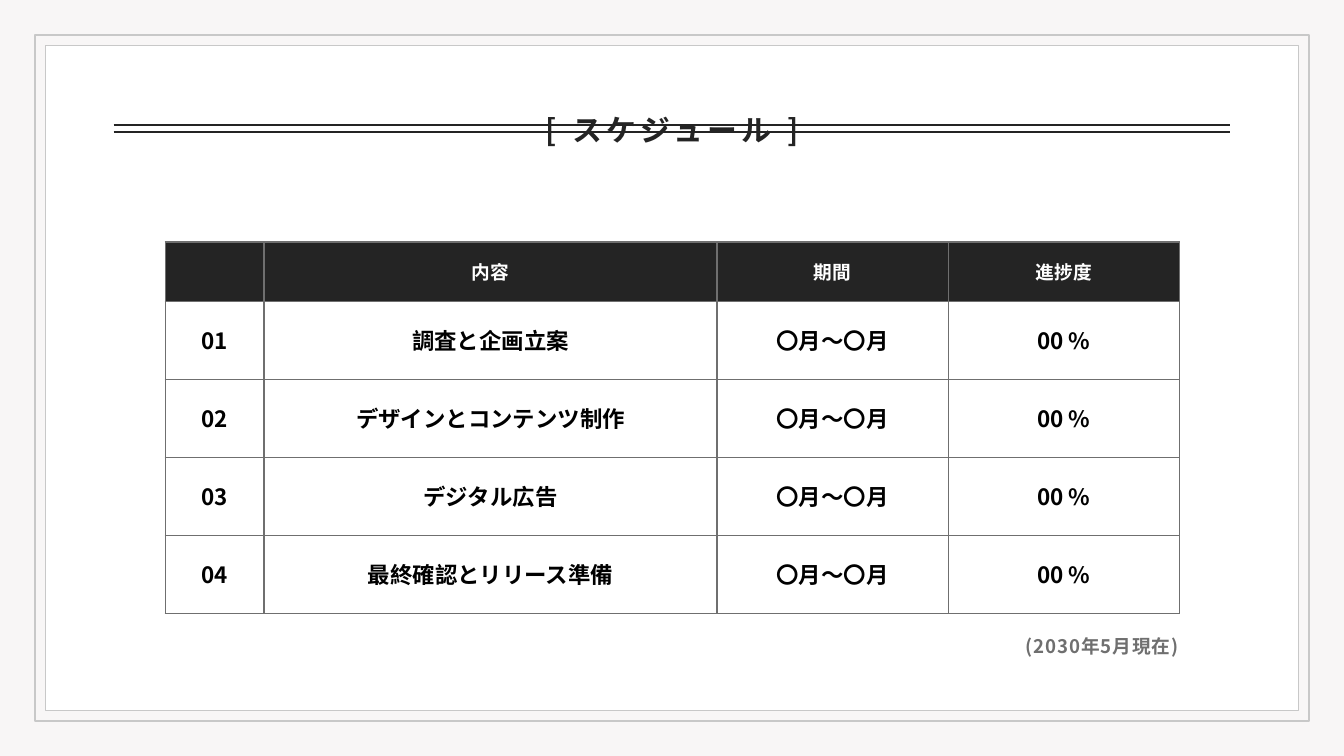
from dataclasses import dataclass

from lxml.etree import SubElement
from pptx import Presentation
from pptx.dml.color import RGBColor
from pptx.enum.shapes import MSO_CONNECTOR, MSO_SHAPE
from pptx.enum.text import MSO_ANCHOR, PP_ALIGN
from pptx.oxml import parse_xml
from pptx.oxml.ns import nsdecls, qn
from pptx.slide import Slide
from pptx.table import _Cell
from pptx.util import Inches, Pt

WIDTH, HEIGHT = 20, 11.25
TABLE_MARGIN = 2.46
TABLE_TOP = 3.6
COLUMNS = (1.47, 6.74, 3.44, 3.44)
HEADER_ROW, BODY_ROW = 0.89, 1.16
LINE_FACTOR = 1.4

HEADINGS = ("", "内容", "期間", "進捗度")
TASKS = ("調査と企画立案", "デザインとコンテンツ制作", "デジタル広告", "最終確認とリリース準備")
PERIOD, PROGRESS = "〇月〜〇月", "00 %"


@dataclass(frozen=True)
class Theme:
    font: str = "Noto Sans CJK JP"
    backdrop: str = "F8F6F6"
    frame: str = "C8C8C8"
    ink: str = "242424"
    body: str = "000000"
    muted: str = "6F6F6F"
    paper: str = "FFFFFF"
    title_size: int = 32
    body_size: int = 24
    small_size: int = 20
    thin: float = 1.5
    rule: float = 2


@dataclass(frozen=True)
class TextStyle:
    size: int
    color: str
    align: PP_ALIGN = PP_ALIGN.CENTER
    tracking: float = 0


@dataclass(frozen=True)
class Frame:
    margin: float
    fill: str


@dataclass(frozen=True)
class Caption:
    text: str
    margin: float
    top: float
    height: float
    style: TextStyle


THEME = Theme()
HEADING_STYLE = TextStyle(THEME.small_size, THEME.paper)
BODY_STYLE = TextStyle(THEME.body_size, THEME.body)

FRAMES = (Frame(0.52, THEME.backdrop), Frame(0.68, THEME.paper))
RULE_MARGIN = 1.69
RULE_HEIGHTS = (1.86, 1.96)
CAPTIONS = (
    Caption("[ スケジュール ]", 3.78, 1.58, 0.58,
            TextStyle(THEME.title_size, THEME.ink, tracking=4.8)),
    Caption("(2030年5月現在)", TABLE_MARGIN, 9.39, 0.37,
            TextStyle(THEME.small_size, THEME.muted, PP_ALIGN.RIGHT, 1)),
)


def rgb(color: str) -> RGBColor:
    return RGBColor.from_string(color)


def write(text_frame, text: str, style: TextStyle) -> None:
    paragraph = text_frame.paragraphs[0]
    paragraph.text = text
    paragraph.alignment = style.align
    paragraph.line_spacing = Pt(style.size * LINE_FACTOR)
    font = paragraph.font
    font.size, font.bold, font.name = Pt(style.size), True, THEME.font
    font.color.rgb = rgb(style.color)
    properties = paragraph._p.pPr.find(qn("a:defRPr"))
    SubElement(properties, qn("a:ea"), typeface=THEME.font)
    if style.tracking:
        properties.set("spc", str(round(style.tracking * 100)))


def add_frame(slide: Slide, frame: Frame) -> None:
    shape = slide.shapes.add_shape(
        MSO_SHAPE.RECTANGLE, Inches(frame.margin), Inches(frame.margin),
        Inches(WIDTH - 2 * frame.margin), Inches(HEIGHT - 2 * frame.margin))
    shape.shadow.inherit = False
    shape.fill.solid()
    shape.fill.fore_color.rgb = rgb(frame.fill)
    shape.line.color.rgb = rgb(THEME.frame)
    shape.line.width = Pt(THEME.thin)


def add_rule(slide: Slide, y: float) -> None:
    rule = slide.shapes.add_connector(
        MSO_CONNECTOR.STRAIGHT, Inches(RULE_MARGIN), Inches(y),
        Inches(WIDTH - RULE_MARGIN), Inches(y))
    rule.line.color.rgb = rgb(THEME.ink)
    rule.line.width = Pt(THEME.rule)
    SubElement(rule._element.spPr, qn("a:effectLst"))


def add_caption(slide: Slide, caption: Caption) -> None:
    box = slide.shapes.add_textbox(
        Inches(caption.margin), Inches(caption.top),
        Inches(WIDTH - 2 * caption.margin), Inches(caption.height))
    frame = box.text_frame
    frame.word_wrap = True
    frame.margin_left = frame.margin_right = frame.margin_top = frame.margin_bottom = 0
    write(frame, caption.text, caption.style)


def fill_cell(cell: _Cell, text: str, style: TextStyle, fill: str) -> None:
    cell.margin_left = cell.margin_right = cell.margin_top = cell.margin_bottom = 0
    cell.vertical_anchor = MSO_ANCHOR.MIDDLE
    cell.fill.solid()
    cell.fill.fore_color.rgb = rgb(fill)
    for position, side in enumerate("LRTB"):
        border = parse_xml(
            f'<a:ln{side} {nsdecls("a")} w="{Pt(THEME.thin)}"><a:solidFill>'
            f'<a:srgbClr val="{THEME.muted}"/></a:solidFill></a:ln{side}>')
        cell._tc.tcPr.insert(position, border)
    if text:
        write(cell.text_frame, text, style)


def add_schedule(slide: Slide) -> None:
    rows = [HEADINGS] + [(f"{number:02}", task, PERIOD, PROGRESS)
                         for number, task in enumerate(TASKS, 1)]
    heights = [HEADER_ROW] + [BODY_ROW] * len(TASKS)
    table = slide.shapes.add_table(
        len(rows), len(COLUMNS), Inches(TABLE_MARGIN), Inches(TABLE_TOP),
        Inches(sum(COLUMNS)), Inches(sum(heights))).table
    for column, width in zip(table.columns, COLUMNS):
        column.width = Inches(width)
    for index, (row, height, texts) in enumerate(zip(table.rows, heights, rows)):
        row.height = Inches(height)
        style, fill = (BODY_STYLE, THEME.paper) if index else (HEADING_STYLE, THEME.ink)
        for cell, text in zip(row.cells, texts):
            fill_cell(cell, text, style, fill)


def main() -> None:
    presentation = Presentation()
    presentation.slide_width, presentation.slide_height = Inches(WIDTH), Inches(HEIGHT)
    slide = presentation.slides.add_slide(presentation.slide_layouts[6])
    slide.background.fill.solid()
    slide.background.fill.fore_color.rgb = rgb(THEME.backdrop)
    for frame in FRAMES:
        add_frame(slide, frame)
    for y in RULE_HEIGHTS:
        add_rule(slide, y)
    add_schedule(slide)
    for caption in CAPTIONS:
        add_caption(slide, caption)
    presentation.save("out.pptx")


if __name__ == "__main__":
    main()
